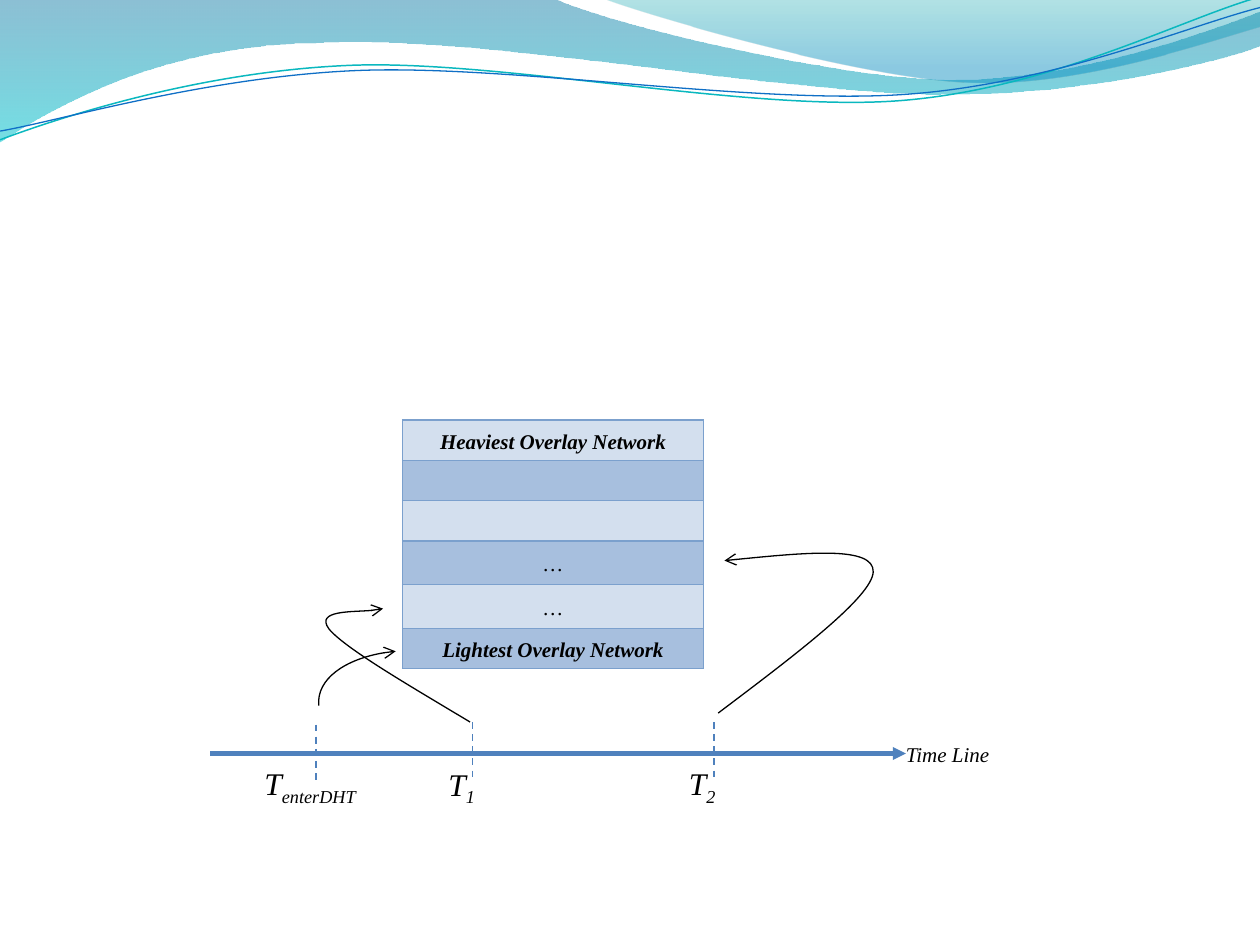
import pptx
import pptx.util
import pptx.dml.color
import pptx.enum.dml
import pptx.enum.shapes
import pptx.enum.text
import pptx.oxml.ns
from dataclasses import dataclass

Pt = pptx.util.Pt
qn = pptx.oxml.ns.qn
ALIGN = pptx.enum.text.PP_ALIGN


@dataclass(frozen=True)
class Theme:
    font: str = "Times New Roman"
    body: int = 12
    label: int = 18
    text: str = "000000"
    axis: str = "4F81BD"
    border: str = "7BA0CD"
    bands: tuple = ("D3DFEE", "A7BFDE")


THEME = Theme()

# Outlines: a start point, then 2 numbers for a line or 6 for a Bezier curve
WAVES = [  # outline, gradient stops (position, colour, opacity %)
    ([(0, -0.7), (316.8, -0.7), (342.7, 12.2, 478, 45.4, 545.8, 45.4),
      (614.2, 45.4, 689.8, 18.7, 720, 6.5), (720.7, 25.9),
      (707.8, 31.7, 626.4, 54.7, 537.1, 54), (447.8, 54, 275, 20.2, 185, 24.5),
      (92.9, 25.2, 33.1, 59.8, -0.7, 81.4)],
     [(0, "0074A1", 45), (1, "00C6CF", 55)]),
    ([(344.9, -0.7), (366.5, 7.9, 491, 44.6, 553.7, 46.8),
      (616.3, 49.7, 691.9, 23, 720, 15.1), (720, 0)],
     [(0, "00A1A9", 30), (0.8, "008BBF", 45)]),
]
WAVE_LINES = [  # outline, colour, width
    ([(0, 79.9), (34.6, 67, 113.8, 41, 199.4, 37.4), (284.4, 33.8, 427, 64.1, 513.4, 57.6),
      (599.8, 51.1, 675.4, 10.8, 718.6, -1.4)], "0AB8BF", 0.85),
    ([(0, 74.9), (33.8, 69.1, 118.1, 43.9, 203.8, 40.3), (290.2, 36.7, 429.8, 59.8, 516.2, 54),
      (601.9, 48.2, 677.5, 15.1, 720, 4.3)], "0F6FC6", 0.75),
]
CURVED_ARROWS = [
    [(182.2, 403.2), (180.7, 388.1, 200.2, 374.4, 226.1, 372.2)],
    [(268.6, 412.6), (232.6, 391, 196.6, 370.1, 187.9, 359.3),
     (180, 348.5, 213.8, 349.9, 218.9, 347.8)],
    [(410.4, 407.5), (454.3, 374.4, 498.2, 341.3, 499, 326.9),
     (499.7, 311.8, 456.5, 316.1, 414, 320.4)],
]
LAYERS = [  # text, bold, row height
    ("Heaviest Overlay Network", True, 23), ("", False, 23), ("", False, 23),
    ("…", False, 25), ("…", False, 25), ("Lightest Overlay Network", True, 23),
]
TABLE_X, TABLE_Y, TABLE_W = 230.1, 240.1, 172
AXIS_X1, AXIS_X2, AXIS_Y = 120.2, 517.7, 430.6
TICK_H = 31.7
TICKS = [  # subscript, tick x, tick top, label left, label top, label width
    ("enterDHT", 180.7, 414, 144, 433, 72),
    ("1", 270, 412.6, 249.1, 433.4, 31),
    ("2", 408.2, 412.6, 386.6, 433, 31),
]


def rgb(value):
    return pptx.dml.color.RGBColor.from_string(value)


def add_child(parent, tag, **attrs):
    el = parent.makeelement(qn(tag), attrs)
    parent.append(el)
    return el


def set_line(line, color, width):
    line.color.rgb = rgb(color)
    line.width = Pt(width)


def add_arrowhead(line, kind):
    add_child(line._get_or_add_ln(), "a:tailEnd", type=kind)


def curve_bounds(outline, steps=32):
    """Left, top, right and bottom of the drawn outline."""
    points = [outline[0]]
    for seg in outline[1:]:
        ctrl = [points[-1], seg[:2], seg[2:4], seg[4:]]
        for i in range(1, steps) if len(seg) == 6 else ():
            t = i / steps
            weights = ((1 - t) ** 3, 3 * t * (1 - t) ** 2, 3 * t * t * (1 - t), t ** 3)
            points.append([sum(w * c[axis] for w, c in zip(weights, ctrl)) for axis in (0, 1)])
        points.append(seg[-2:])
    xs, ys = zip(*points)
    return [Pt(v) for v in (min(xs), min(ys), max(xs), max(ys))]


def add_outline(s, outline, close=False):
    points = [(Pt(seg[i]), Pt(seg[i + 1])) for seg in outline for i in range(0, len(seg), 2)]
    builder = s.shapes.build_freeform(*points[0])
    builder.add_line_segments(points[1:], close=close)
    sp = builder.convert_to_shape()
    sp.shadow.inherit = False

    # Join each three line points into one Bezier curve
    path = next(sp._element.iter(qn("a:path")))
    lines = iter(path.findall(qn("a:lnTo")))
    for seg in outline[1:]:
        first = next(lines)
        if len(seg) == 6:
            first.tag = qn("a:cubicBezTo")
            for _ in range(2):
                extra = next(lines)
                first.append(extra[0])
                path.remove(extra)

    # Fit the frame to the curve itself
    left, top, right, bottom = curve_bounds(outline)
    dx, dy = sp.left - left, sp.top - top
    for pt in path.iter(qn("a:pt")):
        pt.set("x", str(int(pt.get("x")) + dx))
        pt.set("y", str(int(pt.get("y")) + dy))
    sp.left, sp.top, sp.width, sp.height = left, top, right - left, bottom - top
    path.set("w", str(right - left))
    path.set("h", str(bottom - top))
    return sp


def add_wave(s, outline, stops):
    sp = add_outline(s, outline, close=True)
    sp.fill.gradient()
    sp.fill.gradient_angle = 270
    for stop, (position, color, _) in zip(sp.fill.gradient_stops, stops):
        stop.position = position
        stop.color.rgb = rgb(color)
    for clr, (_, _, opacity) in zip(sp._element.iter(qn("a:srgbClr")), stops):
        add_child(clr, "a:alpha", val=str(opacity * 1000))
    sp.line.fill.background()


def add_curve(s, outline, color, width):
    sp = add_outline(s, outline)
    sp.fill.background()
    set_line(sp.line, color, width)
    return sp


def add_straight(s, x1, y1, x2, y2, width):
    cx = s.shapes.add_connector(pptx.enum.shapes.MSO_CONNECTOR.STRAIGHT,
                                Pt(x1), Pt(y1), Pt(x2), Pt(y2))
    set_line(cx.line, THEME.axis, width)
    add_child(cx._element.spPr, "a:effectLst")
    return cx


def style(p, size, bold=False):
    p.font.name, p.font.size = THEME.font, Pt(size)
    p.font.italic, p.font.bold = True, bold
    p.font.color.rgb = rgb(THEME.text)


def add_text(s, x, y, w, h, size, text, wrap):
    tf = s.shapes.add_textbox(Pt(x), Pt(y), Pt(w), Pt(h)).text_frame
    tf.word_wrap = wrap
    p = tf.paragraphs[0]
    p.add_run().text = text
    style(p, size)
    return p


def add_layers(s):
    heights = [h for _, _, h in LAYERS]
    table = s.shapes.add_table(len(LAYERS), 1, Pt(TABLE_X), Pt(TABLE_Y),
                               Pt(TABLE_W), Pt(sum(heights))).table
    for i, (text, bold, height) in enumerate(LAYERS):
        table.rows[i].height = Pt(height)
        cell = table.cell(i, 0)
        cell.margin_left = cell.margin_right = Pt(5)
        cell.margin_top = cell.margin_bottom = 0
        cell.vertical_anchor = pptx.enum.text.MSO_ANCHOR.MIDDLE
        if text:
            p = cell.text_frame.paragraphs[0]
            p.add_run().text = text
            style(p, THEME.body, bold)
            p.alignment, p.line_spacing = ALIGN.CENTER, 1.15
        tcPr = cell._tc.get_or_add_tcPr()
        for side in ("a:lnL", "a:lnR", "a:lnT", "a:lnB"):
            fill = add_child(add_child(tcPr, side, w=str(Pt(1))), "a:solidFill")
            add_child(fill, "a:srgbClr", val=THEME.border)
        cell.fill.solid()
        cell.fill.fore_color.rgb = rgb(THEME.bands[i % 2])


def main():
    prs = pptx.Presentation()
    prs.slide_width, prs.slide_height = Pt(720), Pt(540)
    s = prs.slides.add_slide(prs.slide_layouts[6])
    # Header waves
    for outline, stops in WAVES:
        add_wave(s, outline, stops)
    for outline, color, width in WAVE_LINES:
        add_curve(s, outline, color, width)
    # Stack of overlay networks
    add_layers(s)
    # Time line
    axis = add_straight(s, AXIS_X1, AXIS_Y, AXIS_X2, AXIS_Y, 2.5)
    add_arrowhead(axis.line, "triangle")
    add_text(s, 505.4, 420, 67, 22.3, THEME.body, "Time Line", True).alignment = ALIGN.RIGHT
    # Moments and their labels
    for sub, x, top, left, label_top, width in TICKS:
        tick = add_straight(s, x, top, x, top + TICK_H, 1)
        tick.line.dash_style = pptx.enum.dml.MSO_LINE.DASH
        p = add_text(s, left, label_top, width, 28.8, THEME.label, "T", False)
        r = p.add_run()
        r.text = sub
        r._r.get_or_add_rPr().set("baseline", "-25000")
    # Arrows from moments to layers
    for outline in CURVED_ARROWS:
        add_arrowhead(add_curve(s, outline, THEME.text, 0.75).line, "arrow")
    prs.save("out.pptx")


if __name__ == "__main__":
    main()
